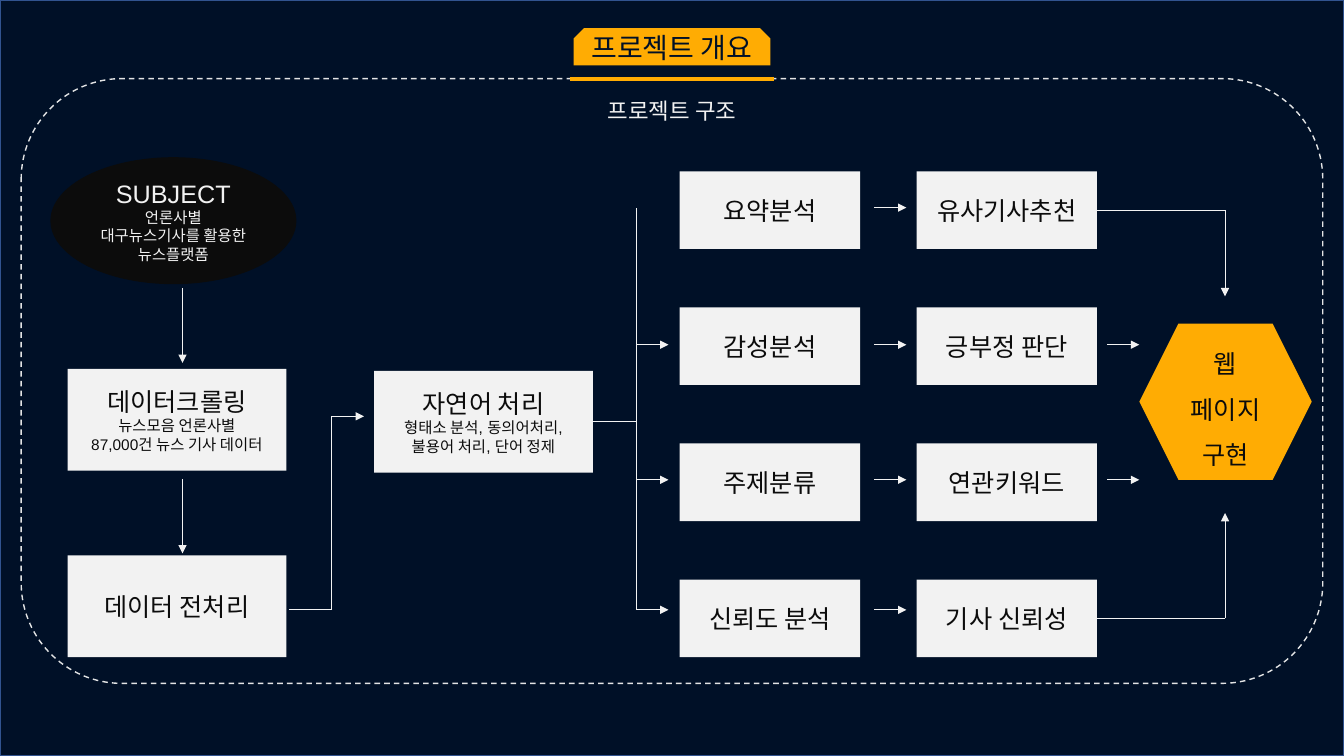
from pptx import Presentation, util as u
from pptx.dml.color import RGBColor
from pptx.enum import dml, shapes, text
from pptx.oxml.ns import qn
from lxml import etree

WIDE, HIGH = 13.33, 7.5
NAVY, GOLD, PALE, DARK = "001027", "FFAC03", "F2F2F2", "0C0C0C"
FONT = "Arial"
TITLE, SUB = "프로젝트 개요", "프로젝트 구조"
SUBJECT = ["SUBJECT", "언론사별 대구뉴스기사를 활용한 뉴스플랫폼"]
STEPS = [
    (0.67, 3.66, ["데이터크롤링", "뉴스모음 언론사별", "87,000건 뉴스 기사 데이터"]),
    (0.67, 5.51, ["데이터 전처리"]),
    (3.71, 3.68, ["자연어 처리", "형태소 분석, 동의어처리,", "불용어 처리, 단어 정제"]),
]
TASKS = [
    ("요약분석", "유사기사추천"),
    ("감성분석", "긍부정 판단"),
    ("주제분류", "연관키워드"),
    ("신뢰도 분석", "기사 신뢰성"),
]
GOAL = "웹 페이지 구현"
STEP_W, STEP_H = 2.17, 1.01
TASK_W, TASK_H = 1.79, 0.77
COLS, TOP, PITCH = (6.74, 9.09), 1.7, 1.35
FLOW = (2.06, 3.42, 4.76, 6.05)
DOWN, BEND, TRUNK, END = 1.81, 3.29, 6.31, 12.15
DASH = 0.32

deck = Presentation()
deck.slide_width, deck.slide_height = u.Inches(WIDE), u.Inches(HIGH)
slide = deck.slides.add_slide(deck.slide_layouts[5])
parts = slide.shapes
KIND = shapes.MSO_SHAPE


def color(code):
    return RGBColor.from_string(code)


def write(shape, lines, sizes, code, gap=None):
    frame = shape.text_frame
    frame.word_wrap = True
    frame.vertical_anchor = text.MSO_ANCHOR.MIDDLE
    frame.margin_left = frame.margin_right = u.Inches(0.1)
    frame.margin_top = frame.margin_bottom = u.Inches(0.05)
    frame.text = "\n".join(lines)
    for i, para in enumerate(frame.paragraphs):
        para.alignment = text.PP_ALIGN.CENTER
        if gap:
            para.line_spacing = gap
        for run in para.runs:
            run.font.size = u.Pt(sizes[min(i, len(sizes) - 1)])
            run.font.name = FONT
            run.font.color.rgb = color(code)


def draw(kind, x, y, w, h, fill=None, edge=None):
    shape = parts.add_shape(kind, *map(u.Inches, (x, y, w, h)))
    shape.shadow.inherit = False
    if fill:
        shape.fill.solid()
        shape.fill.fore_color.rgb = color(fill)
    else:
        shape.fill.background()
    if edge:
        shape.line.color.rgb = color(edge)
        shape.line.width = u.Pt(1)
    else:
        shape.line.fill.background()
    return shape


def link(x1, y1, x2, y2, head=True, code=PALE, width=0.75, start=None):
    line = parts.add_connector(
        shapes.MSO_CONNECTOR.STRAIGHT, *map(u.Inches, (x1, y1, x2, y2)))
    if start is not None:
        line.begin_connect(start, 3)
    line.line.color.rgb = color(code)
    line.line.width = u.Pt(width)
    if head:
        etree.SubElement(line.line._get_or_add_ln(), qn("a:tailEnd"), type="triangle")
    etree.SubElement(line._element.spPr, qn("a:effectLst"))


draw(KIND.RECTANGLE, 0, 0, WIDE, HIGH, NAVY, "31538F")
frame = draw(KIND.ROUNDED_RECTANGLE, 0.21, 0.78, 12.91, 6, edge="E3E4E5")
frame.line.dash_style = dml.MSO_LINE.DASH

oval = draw(KIND.OVAL, 0.5, 1.56, 2.44, 1.26, DARK)
write(oval, SUBJECT, (18, 11), PALE)

for x, y, lines in STEPS:
    step = draw(KIND.RECTANGLE, x, y, STEP_W, STEP_H, PALE)
    write(step, lines, (18, 11), DARK)

last = []
for i, names in enumerate(TASKS):
    for x, name in zip(COLS, names):
        task = draw(KIND.RECTANGLE, x, TOP + i * PITCH, TASK_W, TASK_H, PALE)
        write(task, [name], (18,), DARK)
    last.append(task)

for y in (2.86, 4.75):
    link(DOWN, y, DOWN, y + 0.74)

link(2.87, FLOW[3], BEND, FLOW[3], False)
link(BEND, FLOW[3], BEND, 4.13, False)
link(BEND, 4.13, BEND + DASH, 4.13)
mid = STEPS[2][1] + STEP_H / 2
link(STEPS[2][0] + STEP_W, mid, TRUNK, mid, False, start=step)
link(TRUNK, FLOW[3], TRUNK, FLOW[0], False)

for y in FLOW[1:]:
    link(TRUNK, y, TRUNK + DASH, y)
for y in FLOW:
    link(8.67, y, 8.67 + DASH, y)
for y in FLOW[1:3]:
    link(10.98, y, 10.98 + DASH, y)

for i, tip in ((0, 2.94), (3, 5.09)):
    y = TOP + i * PITCH + TASK_H / 2
    link(COLS[1] + TASK_W, y, END, y, False, start=last[i])
    link(END, y, END, tip)

goal = draw(KIND.HEXAGON, 11.3, 3.21, 1.71, 1.55, GOLD)
goal.adjustments[0] = 0.25
write(goal, [GOAL], (18,), DARK, 1.5)

tab = draw(KIND.SNIP_2_SAME_RECTANGLE, 5.69, 0.28, 1.95, 0.37, GOLD)
tab.adjustments[0] = 0.274
link(5.65, 0.78, 7.68, 0.78, False, GOLD, 3)

title = parts.title
title.left, title.top, title.width, title.height = tab.left, tab.top, tab.width, tab.height
write(title, [TITLE], (20,), NAVY)
title.text_frame.auto_size = text.MSO_AUTO_SIZE.NONE
tab._element.addnext(title._element)

note = parts.add_textbox(*map(u.Inches, (4.79, 0.91, 3.75, 0.37)))
write(note, [SUB], (16,), PALE)

deck.save("out.pptx")
